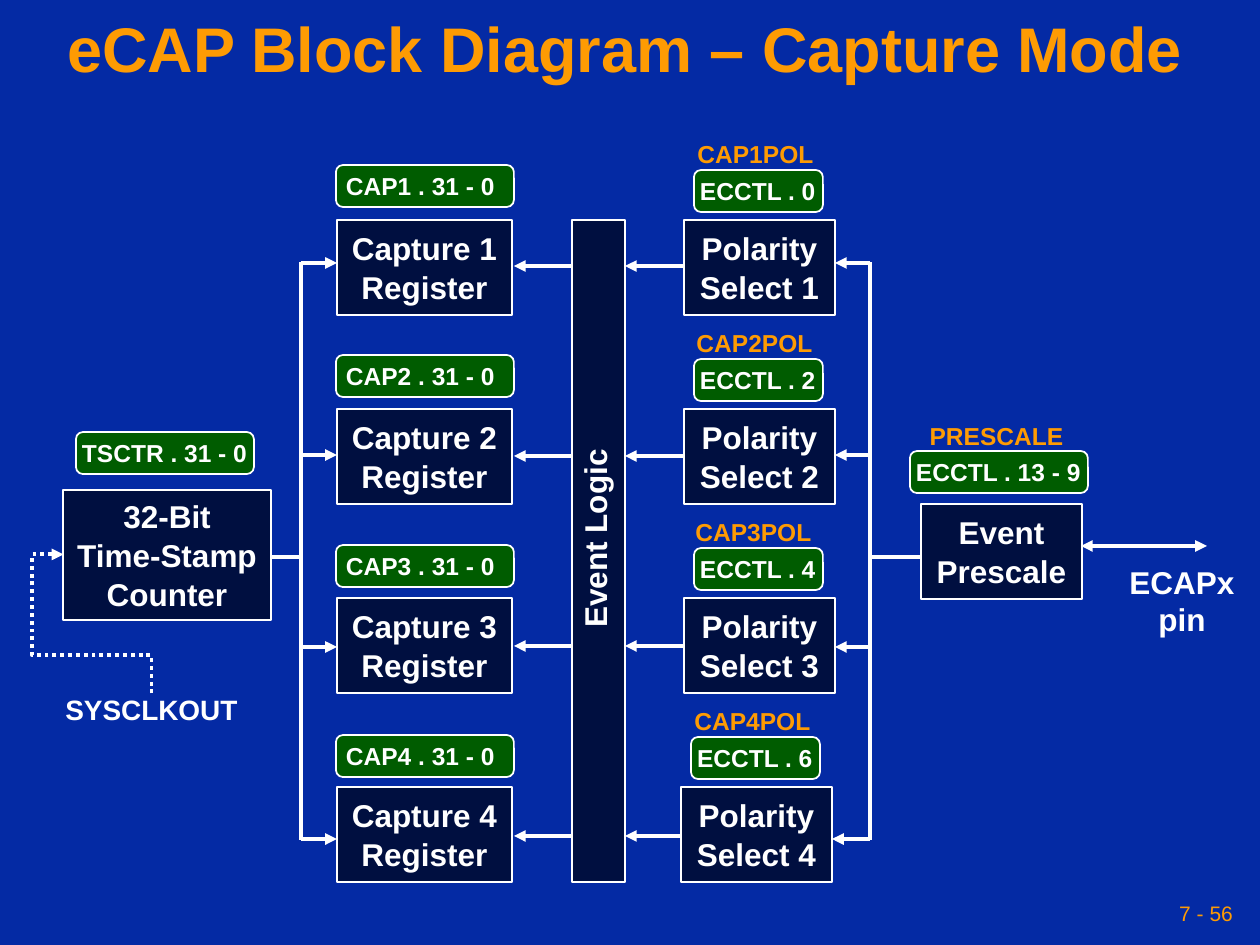
"""Build the eCAP capture mode block diagram slide."""
from lxml import etree
from pptx import Presentation
from pptx import util as u
from pptx.dml.color import RGBColor
from pptx.enum import dml, shapes, text
from pptx.oxml.ns import qn

COLORS = {"back": "042AA4", "block": "000F40", "tag": "005C00",
          "white": "FFFFFF", "orange": "FE9B03"}
ROW_PITCH = 189
EVENT_PITCH = 190
BUS_PITCH = 192
LAST_ROW_SHIFT = 3


def px(value):
    """Turn pixels into EMU."""
    return u.Emu(round(value * 914400 / 126))


def color(name):
    """Look up a colour by name."""
    return RGBColor.from_string(COLORS[name])


def write(frame, words, size, ink="white", bold=True, align="CENTER",
          anchor="MIDDLE", spacing=1.0, gap=0, inset=4):
    """Write one paragraph per line of words into a text frame."""
    frame.word_wrap = False
    frame.vertical_anchor = text.MSO_ANCHOR[anchor]
    frame.margin_left = frame.margin_right = px(inset)
    frame.margin_top = frame.margin_bottom = px(6)
    for number, line in enumerate(words.split("\n")):
        para = frame.add_paragraph() if number else frame.paragraphs[0]
        para.text = line
        para.alignment = text.PP_ALIGN[align]
        para.line_spacing = spacing
        if number:
            para.space_before = u.Pt(gap)
        para.font.name = "Arial"
        para.font.size = u.Pt(size)
        para.font.bold = bold
        para.font.color.rgb = color(ink)


def add_label(page, left, top, width, height, words, size, **style):
    """Add free-standing text."""
    box = page.shapes.add_textbox(px(left), px(top), px(width), px(height))
    write(box.text_frame, words, size, **style)
    return box


def add_panel(page, kind, fill, left, top, width, height):
    """Add a filled shape with a thin white outline."""
    panel = page.shapes.add_shape(kind, px(left), px(top), px(width), px(height))
    panel.shadow.inherit = False
    panel.fill.solid()
    panel.fill.fore_color.rgb = color(fill)
    panel.line.color.rgb = color("white")
    panel.line.width = u.Pt(1)
    return panel


def add_block(page, left, top, width, height, words):
    """Add a dark function block."""
    block = add_panel(page, shapes.MSO_SHAPE.RECTANGLE, "block", left, top, width, height)
    write(block.text_frame, words, 18, gap=0.5)


def add_tag(page, left, top, width, words, inset=4):
    """Add a green register tag."""
    tag = add_panel(page, shapes.MSO_SHAPE.ROUNDED_RECTANGLE, "tag", left, top, width, 42)
    write(tag.text_frame, words, 14, align="LEFT", inset=inset)


def add_caption(page, left, top, width, words):
    """Add an orange bit-field name above a tag."""
    add_label(page, left, top, width, 36, words, 14, ink="orange",
              anchor="TOP", spacing=0.8)


def add_line(page, start, end, ends=(), kind="STRAIGHT", dash=None):
    """Add a white line with arrowheads at the named ends."""
    line = page.shapes.add_connector(shapes.MSO_CONNECTOR[kind],
                                     *map(px, (*start, *end)))
    line.line.color.rgb = color("white")
    line.line.width = u.Pt(2.25)
    if dash:
        line.line.dash_style = dash
    outline = line.line._get_or_add_ln()
    for end_name in ends:
        etree.SubElement(outline, qn(f"a:{end_name}"), type="triangle")
    etree.SubElement(line._element.spPr, qn("a:effectLst"))
    return line


def add_clock_path(page):
    """Add the dotted elbow from SYSCLKOUT up to the counter."""
    elbow = add_line(page, (38, 668), (177, 580), ["tailEnd"], "ELBOW",
                     dml.MSO_LINE.ROUND_DOT)
    properties = elbow._element.spPr
    properties.find(qn("a:xfrm")).set("rot", "16200000")
    geometry = properties.find(qn("a:prstGeom"))
    geometry.set("prst", "bentConnector4")
    guides = geometry.find(qn("a:avLst"))
    for name, value in (("adj1", 27400), ("adj2", 135600)):
        etree.SubElement(guides, qn("a:gd"), name=name, fmla=f"val {value}")


def add_buses(page):
    """Add the two vertical buses and their feeds."""
    for feed, bus in ((247, 301), (924, 870)):
        add_line(page, (feed, 557), (bus, 557))
        add_line(page, (bus, 262), (bus, 840))


def add_channel(page, row):
    """Add one capture register, its polarity select and their arrows."""
    number = row + 1
    shift = LAST_ROW_SHIFT if row == 3 else 0
    top = 220 + row * ROW_PITCH
    bus_y = 263 + row * BUS_PITCH
    event_y = 266 + row * EVENT_PITCH
    add_block(page, 337, top, 175, 95, f"Capture {number}\nRegister")
    add_block(page, 684 - shift, top, 151, 95, f"Polarity\nSelect {number}")
    for start, end, y in ((301, 337, bus_y), (870, 835 - shift, bus_y),
                          (683 - shift, 625, event_y), (572, 514, event_y)):
        add_line(page, (start, y), (end, y), ["tailEnd"])
    add_tag(page, 336, 165 + row * EVENT_PITCH, 178, f"CAP{number} . 31 - 0", inset=8)
    add_tag(page, 694 - shift, 170 + row * ROW_PITCH, 129, f"ECCTL . {2 * row}")
    add_caption(page, 685 - row, 139 + row * ROW_PITCH, 141, f"CAP{number}POL")


def main():
    """Build and save the slide."""
    deck = Presentation()
    deck.slide_width, deck.slide_height = px(1260), px(945)
    page = deck.slides.add_slide(deck.slide_layouts[6])
    page.background.fill.solid()
    page.background.fill.fore_color.rgb = color("back")

    add_label(page, 861, 892, 378, 42, "7 - 56", 12, ink="orange",
              bold=False, align="RIGHT", inset=6)
    add_label(page, 0, 0, 1250, 105, "eCAP Block Diagram – Capture Mode", 36,
              ink="orange", spacing=0.9)

    add_buses(page)
    add_panel(page, shapes.MSO_SHAPE.RECTANGLE, "block", 572, 220, 53, 662)
    event_logic = add_label(page, 493, 517, 203, 43, "Event Logic", 18)
    event_logic.rotation = 270
    for row in range(4):
        add_channel(page, row)

    add_block(page, 63, 490, 208, 130, "32-Bit\nTime-Stamp\nCounter")
    add_tag(page, 76, 432, 178, "TSCTR . 31 - 0")
    add_clock_path(page)
    add_label(page, 53, 693, 197, 40, "SYSCLKOUT", 16, anchor="TOP",
              spacing=0.8)

    add_block(page, 921, 504, 161, 95, "Event\nPrescale")
    add_tag(page, 910, 451, 178, "ECCTL . 13 - 9")
    add_caption(page, 917, 421, 159, "PRESCALE")
    add_line(page, (1207, 546), (1081, 546), ["headEnd", "tailEnd"])
    add_label(page, 1117, 575, 130, 67, "ECAPx\npin", 18, anchor="TOP",
              spacing=0.45, gap=11.2)
    deck.save("out.pptx")


if __name__ == "__main__":
    main()
